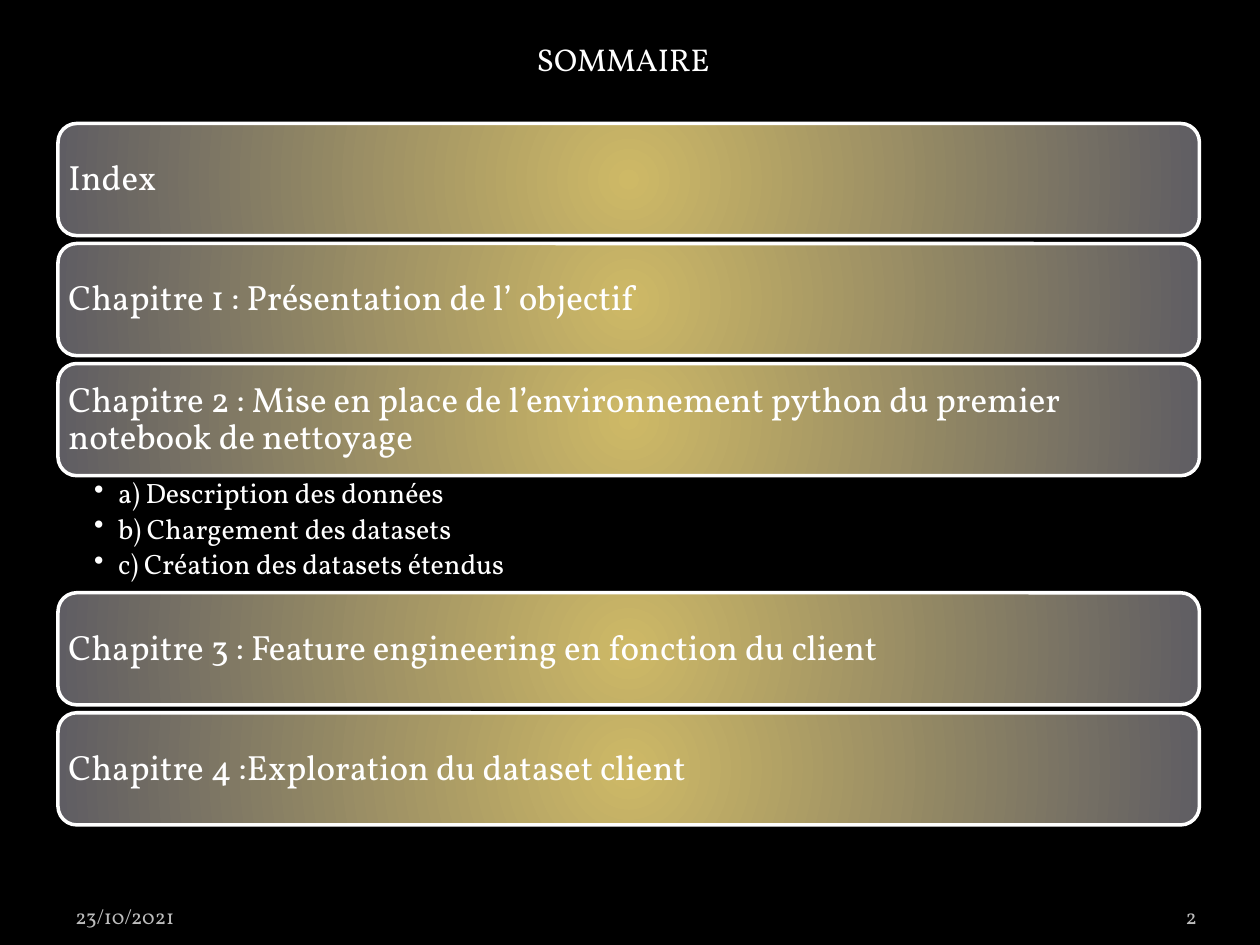
import pptx
import pptx.util
import pptx.oxml
import pptx.oxml.ns
import pptx.dml.color
import pptx.enum.shapes
import pptx.enum.text

Cm, Pt = pptx.util.Cm, pptx.util.Pt
ANCHOR = pptx.enum.text.MSO_ANCHOR
ALIGN = pptx.enum.text.PP_ALIGN
NS = pptx.oxml.ns.nsdecls("a")
COLORS = {"black": "000000", "white": "FFFFFF", "grey": "BDBDBD",
          "gold": "CEB966", "slate": "5F5D63"}


def rgb(name):
    return pptx.dml.color.RGBColor.from_string(COLORS[name])


def add_text(p, text, size, color="white"):
    r = p.add_run()
    r.text = text
    r.font.name = "Vollkorn"
    r.font.size = Pt(size)
    r.font.color.rgb = rgb(color)


prs = pptx.Presentation()
prs.slide_width, prs.slide_height = Cm(25.4), Cm(19.05)
s = prs.slides.add_slide(prs.slide_layouts[6])
s.background.fill.solid()
s.background.fill.fore_color.rgb = rgb("black")

sp = s.shapes.add_textbox(Cm(10.57), Cm(0.69), Cm(4.09), Cm(1.02))
sp.text_frame.word_wrap = False
sp.text_frame.auto_size = pptx.enum.text.MSO_AUTO_SIZE.SHAPE_TO_FIT_TEXT
add_text(sp.text_frame.paragraphs[0], "SOMMAIRE", 18)

left, width, height, gap = 1.17, 23.01, 2.26, 0.16
chapters = [
    ("Index", []),
    ("Chapitre 1 : Présentation de l’ objectif", []),
    ("Chapitre 2 : Mise en place de l’environnement python du premier notebook de nettoyage",
     ["a) Description des données", "b) Chargement des datasets",
      "c) Création des datasets étendus"]),
    ("Chapitre 3 : Feature engineering en fonction du client", []),
    ("Chapitre 4 :Exploration du dataset client", []),
]

top = 2.49
for title, sections in chapters:
    sp = s.shapes.add_shape(pptx.enum.shapes.MSO_SHAPE.ROUNDED_RECTANGLE,
                            Cm(left), Cm(top), Cm(width), Cm(height))
    sp.shadow.inherit = False
    sp.line.color.rgb = rgb("white")
    sp.line.width = Pt(2)
    sp.fill.gradient()
    for stop, color, position in zip(sp.fill.gradient_stops, ("gold", "slate"), (0, 1)):
        stop.color.rgb = rgb(color)
        stop.position = position
    lin = sp.fill._xPr.find(".//" + pptx.oxml.ns.qn("a:lin"))
    lin.getparent().replace(lin, pptx.oxml.parse_xml(
        f'<a:path {NS} path="circle"><a:fillToRect l="50000" t="50000" '
        'r="50000" b="50000"/></a:path>'))
    tf = sp.text_frame
    tf.word_wrap = True
    tf.vertical_anchor = ANCHOR.MIDDLE
    tf.margin_left = tf.margin_right = tf.margin_top = tf.margin_bottom = Cm(0.1)
    p = tf.paragraphs[0]
    p.alignment = ALIGN.LEFT
    p.line_spacing = 0.9
    add_text(p, title, 20)
    top += height

    if sections:
        list_height = 2.36
        sp = s.shapes.add_textbox(Cm(left), Cm(top), Cm(width), Cm(list_height))
        tf = sp.text_frame
        tf.word_wrap = True
        tf.margin_left, tf.margin_right = Cm(0.73), Cm(0.41)
        tf.margin_top = tf.margin_bottom = Cm(0.07)
        for i, section in enumerate(sections):
            p = tf.add_paragraph() if i else tf.paragraphs[0]
            p.level = 1
            p.line_spacing = 0.9
            p.space_after = Pt(3.2)
            pPr = p._p.get_or_add_pPr()
            pPr.set("marL", str(Cm(0.48)))
            pPr.set("indent", str(-Cm(0.48)))
            pPr.append(pptx.oxml.parse_xml(f'<a:buChar {NS} char="•"/>'))
            add_text(p, section, 16)
        top += list_height
    else:
        top += gap

for text, x, w, side, align in [("23/10/2021", 1.27, 5.92, 0.25, ALIGN.LEFT),
                                ("2", 22.01, 2.12, 0, ALIGN.RIGHT)]:
    sp = s.shapes.add_textbox(Cm(x), Cm(17.83), Cm(w), Cm(1.02))
    tf = sp.text_frame
    tf.word_wrap = True
    tf.vertical_anchor = ANCHOR.BOTTOM
    tf.margin_left = tf.margin_right = Cm(side)
    p = tf.paragraphs[0]
    p.alignment = align
    add_text(p, text, 12, "grey")

prs.save("out.pptx")
